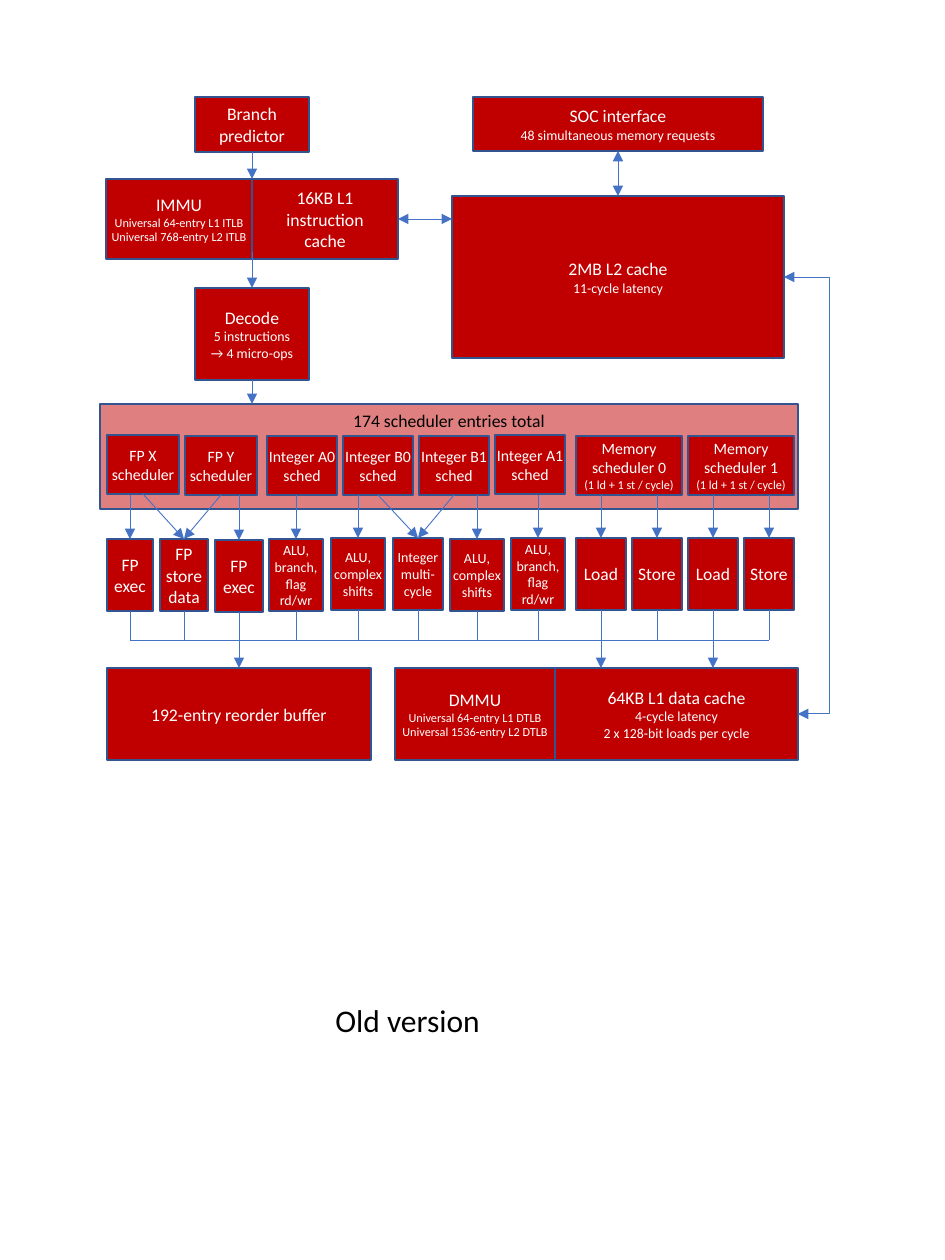
"""Build a block diagram of a processor core, from branch predictor to caches."""
from dataclasses import dataclass
from typing import Optional

from lxml.etree import SubElement
from pptx import Presentation
from pptx.dml.color import RGBColor as Color
from pptx.enum.shapes import MSO_CONNECTOR as Link, MSO_SHAPE as Preset
from pptx.enum.text import MSO_ANCHOR as Anchor, PP_ALIGN as Align
from pptx.oxml.ns import qn
from pptx.util import Emu, Pt

EMU_PER_PX = 914400 / 126
COLORS = {"block": "C00000", "edge": "325491", "wire": "4472C4", "light": "FFFFFF", "dark": "000000"}
TOP, LEFT, BOTTOM, RIGHT = range(4)
SCHED_BOTTOM, BUS_Y, L1_Y, BUS_DROP = 495, 640, 668, 239


@dataclass
class Block:
    key: str
    x: int
    y: int
    w: int
    h: int
    lines: list[tuple[str, float]]
    tight: bool = True
    alpha: int = 100
    color: str = "light"
    anchor: Anchor = Anchor.MIDDLE

    @property
    def middle(self) -> int:
        return self.x + self.w // 2


@dataclass
class Wire:
    start: tuple[int, int] = (0, 0)
    end: tuple[int, int] = (0, 0)
    begin_at: Optional[tuple[str, int]] = None
    end_at: Optional[tuple[str, int]] = None
    head: bool = False
    tail: bool = True
    bend: Optional[float] = None


def px(length: int) -> Emu:
    return Emu(round(length * EMU_PER_PX))


def rgb(name: str) -> Color:
    return Color.from_string(COLORS[name])


def write_text(frame, lines: list[tuple[str, float]], *, color: str, align: Align,
               wrap: bool = True, anchor: Anchor = Anchor.TOP, tight: bool = False) -> None:
    frame.word_wrap = wrap
    frame.vertical_anchor = anchor
    if tight:
        frame.margin_left = frame.margin_right = frame.margin_top = frame.margin_bottom = 0
    for index, (text, size) in enumerate(lines):
        para = frame.add_paragraph() if index else frame.paragraphs[0]
        para.alignment = align
        span = para.add_run()
        span.text = text
        span.font.name = "Calibri"
        span.font.size = Pt(size)
        span.font.color.rgb = rgb(color)


def draw_block(page, block: Block):
    box = page.shapes.add_shape(Preset.RECTANGLE, px(block.x), px(block.y), px(block.w), px(block.h))
    box.shadow.inherit = False
    box.fill.solid()
    box.fill.fore_color.rgb = rgb("block")
    if block.alpha < 100:
        fill = box._element.spPr.find(".//" + qn("a:srgbClr"))
        SubElement(fill, qn("a:alpha"), val=str(block.alpha * 1000))
    box.line.color.rgb = rgb("edge")
    box.line.width = Pt(1)
    write_text(box.text_frame, block.lines, color=block.color, align=Align.CENTER,
               anchor=block.anchor, tight=block.tight)
    return box


def draw_wire(page, boxes: dict, wire: Wire):
    kind = Link.STRAIGHT if wire.bend is None else Link.ELBOW
    points = [px(value) for value in (*wire.start, *wire.end)]
    connector = page.shapes.add_connector(kind, *points)
    if wire.begin_at:
        connector.begin_connect(boxes[wire.begin_at[0]], wire.begin_at[1])
    if wire.end_at:
        connector.end_connect(boxes[wire.end_at[0]], wire.end_at[1])
    connector.line.color.rgb = rgb("wire")
    connector.line.width = Pt(0.5)
    properties = connector._element.spPr
    outline = properties.find(qn("a:ln"))
    for tag, shown in (("a:headEnd", wire.head), ("a:tailEnd", wire.tail)):
        if shown:
            SubElement(outline, qn(tag), type="triangle")
    SubElement(properties, qn("a:effectLst"))
    if wire.bend:
        guides = properties.find(".//" + qn("a:avLst"))
        SubElement(guides, qn("a:gd"), name="adj1", fmla=f"val {round(wire.bend * 100000)}")
    return connector


def draw_bus(page, boxes: dict, first: int, last: int) -> None:
    elbow = draw_wire(page, boxes, Wire((BUS_DROP, L1_Y), (last, BUS_Y), bend=0))
    properties = elbow._element.spPr
    properties.find(qn("a:xfrm")).set("rot", "10800000")
    properties.find(qn("a:prstGeom")).set("prst", "bentConnector2")
    draw_wire(page, boxes, Wire((BUS_DROP, BUS_Y), (first, BUS_Y), tail=False))


def main_blocks() -> list[Block]:
    return [
        Block("L2", 452, 196, 332, 162, [("2MB L2 cache", 10.1), ("11-cycle latency", 7.9)], False),
        Block("Branch", 195, 97, 114, 55, [("Branch predictor", 10.1)], False),
        Block("L1I", 252, 179, 146, 80, [("16KB L1 instruction cache", 10.1)], False),
        Block("Decode", 195, 288, 114, 92, [("Decode", 10.1), ("5 instructions → 4 micro-ops", 7.9)], False),
        Block("L1D", 555, L1_Y, 243, 92, [("64KB L1 data cache", 10.1), ("4-cycle latency", 7.9),
                                          ("2 x 128-bit loads per cycle", 7.9)], False),
        Block("Reorder", 107, L1_Y, 264, 92, [("192-entry reorder buffer", 10.1)], False),
        Block("SOC", 473, 97, 290, 54, [("SOC interface", 10.1), ("48 simultaneous memory requests", 7.9)], False),
        Block("IMMU", 106, 179, 146, 80, [("IMMU", 10.1), ("Universal 64-entry L1 ITLB", 7),
                                          ("Universal 768-entry L2 ITLB", 7)]),
        Block("DMMU", 395, L1_Y, 160, 92, [("DMMU", 10.1), ("Universal 64-entry L1 DTLB", 7),
                                           ("Universal 1536-entry L2 DTLB", 7)]),
        Block("Schedulers", 100, 404, 698, 105, [("174 scheduler entries total", 10.1)], False, 50,
              "dark", Anchor.TOP),
    ]


def scheduler_blocks() -> list[Block]:
    fp = [Block(f"FP {unit}", 107 + 78 * i, 435 + i, 72, 59, [(f"FP {unit} scheduler", 9)])
          for i, unit in enumerate("XY")]
    integer = [Block(f"Integer {unit}", 267 + 76 * i, y, 70, 59, [(f"Integer {unit} sched", 9)])
               for i, (unit, y) in enumerate((("A0", 436), ("B0", 436), ("B1", 436), ("A1", 435)))]
    memory = [Block(f"Memory {i}", 576 + 112 * i, 436, 106, 59,
                    [(f"Memory scheduler {i}", 9), ("(1 ld + 1 st / cycle)", 7)]) for i in range(2)]
    return fp + integer + memory


def unit_blocks() -> list[Block]:
    branch, shifts = "ALU, branch, flag rd/wr", "ALU, complex shifts"
    units = [(107, 539, 46, "FP exec", 10), (160, 539, 48, "FP store data", 10), (215, 540, 48, "FP exec", 10),
             (269, 539, 54, branch, 8), (331, 538, 54, shifts, 8), (393, 538, 50, "Integer multi-cycle", 8),
             (450, 539, 54, shifts, 8), (511, 538, 54, branch, 8)]
    units += [(576 + 56 * i, 538, 50, text, 10) for i, text in enumerate(("Load", "Store") * 2)]
    return [Block(f"Unit {i}", x, y, w, 72, [(text, size)]) for i, (x, y, w, text, size) in enumerate(units)]


def wires(units: list[Block]) -> list[Wire]:
    shared = {"Unit 1": ("FP X", "FP Y"), "Unit 5": ("Integer B0", "Integer B1")}
    result = [
        Wire(end=(252, 179), begin_at=("Branch", BOTTOM)),
        Wire((252, 252), end_at=("Decode", TOP)),
        Wire(end=(252, 404), begin_at=("Decode", BOTTOM)),
        Wire(end=(452, 219), begin_at=("L1I", RIGHT), head=True),
        Wire(begin_at=("L2", TOP), end_at=("SOC", BOTTOM), head=True),
        Wire(begin_at=("L1D", RIGHT), end_at=("L2", RIGHT), head=True, bend=-2.25),
    ]
    for unit in units:
        if unit.key in shared:
            result += [Wire(begin_at=(source, BOTTOM), end_at=(unit.key, TOP)) for source in shared[unit.key]]
        else:
            result.append(Wire((unit.middle, SCHED_BOTTOM), end_at=(unit.key, TOP)))
        loads = unit.lines[0][0] == "Load"
        result.append(Wire(end=(unit.middle, L1_Y if loads else BUS_Y), begin_at=(unit.key, BOTTOM), tail=loads))
    return result


def main() -> None:
    deck = Presentation()
    deck.slide_width, deck.slide_height = px(945), px(1260)
    page = deck.slides.add_slide(deck.slide_layouts[6])
    units = unit_blocks()
    blocks = main_blocks() + scheduler_blocks() + units
    boxes = {block.key: draw_block(page, block) for block in blocks}
    for wire in wires(units):
        draw_wire(page, boxes, wire)
    draw_bus(page, boxes, units[0].middle, units[-1].middle)
    caption = page.shapes.add_textbox(px(323), px(995), px(171), px(50))
    write_text(caption.text_frame, [("Old version", 18)], color="dark", align=Align.LEFT, wrap=False)
    deck.save("out.pptx")


if __name__ == "__main__":
    main()
